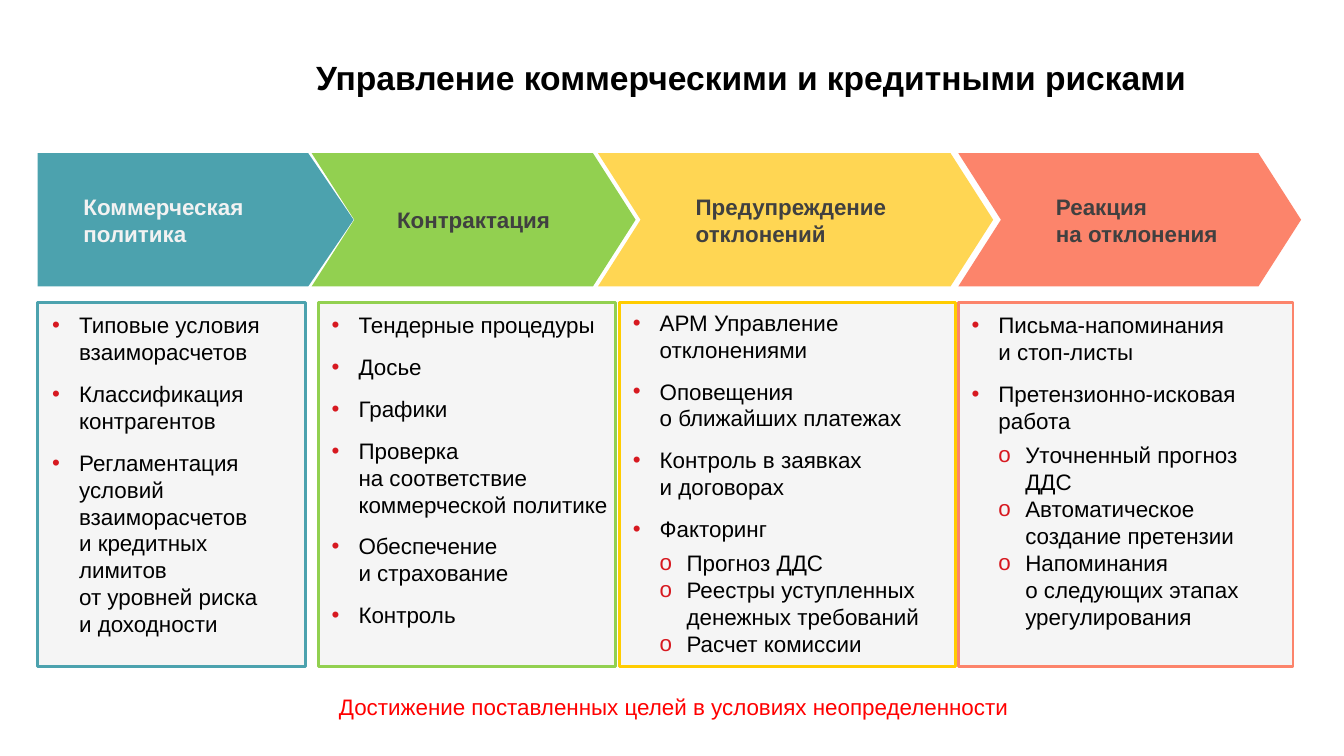
from dataclasses import dataclass

from lxml import etree
from pptx import Presentation
from pptx.dml.color import RGBColor
from pptx.enum.shapes import MSO_SHAPE
from pptx.enum.text import MSO_ANCHOR, MSO_AUTO_SIZE, PP_ALIGN
from pptx.oxml.ns import qn
from pptx.util import Pt

RECTANGLE, CHEVRON, PENTAGON = MSO_SHAPE.RECTANGLE, MSO_SHAPE.CHEVRON, MSO_SHAPE.PENTAGON
LEFT, CENTER = PP_ALIGN.LEFT, PP_ALIGN.CENTER
MIDDLE = MSO_ANCHOR.MIDDLE
GROW = MSO_AUTO_SIZE.SHAPE_TO_FIT_TEXT

BLACK = RGBColor(0x00, 0x00, 0x00)
DARK_GRAY = RGBColor(0x40, 0x40, 0x40)
LIGHT_GRAY = RGBColor(0xF2, 0xF2, 0xF2)
TEAL = RGBColor(0x4C, 0xA2, 0xAE)
GREEN = RGBColor(0x92, 0xD0, 0x50)
YELLOW = RGBColor(0xFF, 0xD6, 0x53)
GOLD = RGBColor(0xFF, 0xCC, 0x00)
CORAL = RGBColor(0xFC, 0x84, 0x6B)
RED = RGBColor(0xFF, 0x00, 0x00)
BULLET_RED = RGBColor(0xD7, 0x19, 0x20)

FONT = "Arial"
ARROW_TOP, ARROW_HEIGHT = 82.1, 71.3
PANEL_TOP, PANEL_HEIGHT = 162, 195.1
INDENT = 14.4
ITEM, SUBITEM = 1, 2
BULLETS = {ITEM: "•", SUBITEM: "o"}


@dataclass
class Stage:
    title: str
    arrow_shape: int
    arrow_span: tuple
    notch: float
    title_inset: float
    title_align: int
    title_color: RGBColor
    fill: RGBColor
    border: RGBColor
    panel_span: tuple
    list_box: tuple
    items: list


STAGES = [
    Stage("Коммерческая политика", PENTAGON, (20.2, 169.2), 0.34, 24.5, LEFT,
          LIGHT_GRAY, TEAL, TEAL, (20.2, 143.3), (20.9, 163.4, 142.6, 183.6), [
              (ITEM, "Типовые условия взаиморасчетов"),
              (ITEM, "Классификация контрагентов"),
              (ITEM, "Регламентация условий взаиморасчетов\vи кредитных лимитов"
                     "\vот уровней риска\vи доходности"),
          ]),
    Stage("Контрактация", CHEVRON, (167, 173.5), 0.32, 5, CENTER,
          DARK_GRAY, GREEN, GREEN, (170.6, 159.1), (170.6, 163.4, 164.2, 178.6), [
              (ITEM, "Тендерные процедуры"),
              (ITEM, "Досье"),
              (ITEM, "Графики"),
              (ITEM, "Проверка\vна соответствие коммерческой политике"),
              (ITEM, "Обеспечение\vи страхование"),
              (ITEM, "Контроль"),
          ]),
    Stage("Предупреждение отклонений", CHEVRON, (320.4, 211.7), 0.32, 29.5, LEFT,
          DARK_GRAY, YELLOW, GOLD, (331.9, 180), (331.9, 162, 178.6, 195.8), [
              (ITEM, "АРМ Управление отклонениями"),
              (ITEM, "Оповещения\vо ближайших платежах"),
              (ITEM, "Контроль в заявках\vи договорах"),
              (ITEM, "Факторинг"),
              (SUBITEM, "Прогноз ДДС"),
              (SUBITEM, "Реестры уступленных денежных требований"),
              (SUBITEM, "Расчет комиссии"),
          ]),
    Stage("Реакция\vна отклонения", CHEVRON, (513.4, 183.6), 0.32, 29.5, LEFT,
          DARK_GRAY, CORAL, CORAL, (513.4, 179.3), (513.4, 163.4, 180, 179.3), [
              (ITEM, "Письма-напоминания\vи стоп-листы"),
              (ITEM, "Претензионно-исковая работа"),
              (SUBITEM, "Уточненный прогноз ДДС"),
              (SUBITEM, "Автоматическое создание претензии"),
              (SUBITEM, "Напоминания\vо следующих этапах урегулирования"),
          ]),
]


def write_text(paragraph, text, size=12, color=BLACK, bold=False, align=LEFT):
    paragraph.text = text
    paragraph.alignment = align
    paragraph.font.name = FONT
    paragraph.font.size = Pt(size)
    paragraph.font.bold = bold
    paragraph.font.color.rgb = color


def set_insets(frame, left, top, right, bottom):
    frame.margin_left, frame.margin_top = Pt(left), Pt(top)
    frame.margin_right, frame.margin_bottom = Pt(right), Pt(bottom)


def add_bullet(paragraph, level):
    paragraph.level = level
    properties = paragraph._p.get_or_add_pPr()
    properties.set("marL", str(Pt(INDENT * level)))
    properties.set("indent", str(-Pt(INDENT)))
    color = etree.SubElement(properties, qn("a:buClr"))
    etree.SubElement(color, qn("a:srgbClr"), val=str(BULLET_RED))
    etree.SubElement(properties, qn("a:buFont"), typeface=FONT)
    etree.SubElement(properties, qn("a:buChar"), char=BULLETS[level])


def add_filled_shape(slide, kind, box, fill):
    shape = slide.shapes.add_shape(kind, *map(Pt, box))
    shape.shadow.inherit = False
    shape.fill.solid()
    shape.fill.fore_color.rgb = fill
    shape.line.fill.background()
    return shape


def add_text_box(slide, box):
    frame = slide.shapes.add_textbox(*map(Pt, box)).text_frame
    frame.word_wrap = True
    frame.auto_size = GROW
    return frame


def add_title(slide, box, text):
    title = slide.shapes.title
    title.left, title.top, title.width, title.height = map(Pt, box)
    title.text_frame.vertical_anchor = MIDDLE
    write_text(title.text_frame.paragraphs[0], text, size=18, bold=True, align=CENTER)


def add_arrow(slide, box, stage):
    arrow = add_filled_shape(slide, stage.arrow_shape, box, stage.fill)
    arrow.adjustments[0] = stage.notch
    frame = arrow.text_frame
    frame.word_wrap = True
    frame.vertical_anchor = MIDDLE
    set_insets(frame, stage.title_inset, 5, 5, 5)
    write_text(frame.paragraphs[0], stage.title, color=stage.title_color,
               bold=True, align=stage.title_align)


def add_panel(slide, box, border):
    panel = add_filled_shape(slide, RECTANGLE, box, LIGHT_GRAY)
    color = panel._element.spPr.find(qn("a:solidFill")).find(qn("a:srgbClr"))
    etree.SubElement(color, qn("a:alpha"), val="70000")
    panel.line.color.rgb = border
    panel.line.width = Pt(1.5)


def add_list(slide, box, items):
    frame = add_text_box(slide, box)
    for index, (level, text) in enumerate(items):
        paragraph = frame.add_paragraph() if index else frame.paragraphs[0]
        gap = 4 if level == ITEM else 0
        paragraph.space_before = Pt(gap if index else 0)
        paragraph.space_after = Pt(gap)
        add_bullet(paragraph, level)
        write_text(paragraph, text)


def add_stage(slide, stage):
    panel_left, panel_width = stage.panel_span
    arrow_left, arrow_width = stage.arrow_span
    add_panel(slide, (panel_left, PANEL_TOP, panel_width, PANEL_HEIGHT), stage.border)
    add_arrow(slide, (arrow_left, ARROW_TOP, arrow_width, ARROW_HEIGHT), stage)
    add_list(slide, stage.list_box, stage.items)


def add_conclusion(slide, box, text):
    frame = add_text_box(slide, box)
    set_insets(frame, 5.8, 2.9, 5.8, 2.9)
    write_text(frame.paragraphs[0], text, color=RED, align=CENTER)


def main():
    presentation = Presentation()
    presentation.slide_width, presentation.slide_height = Pt(720), Pt(405)
    slide = presentation.slides.add_slide(presentation.slide_layouts[5])
    add_title(slide, (112.3, 15.8, 580.3, 51.1),
              "Управление коммерческими и кредитными рисками")
    for stage in STAGES:
        add_stage(slide, stage)
    add_conclusion(slide, (27.4, 368.6, 667.4, 20.2),
                   "Достижение поставленных целей в условиях неопределенности")
    presentation.save("out.pptx")


if __name__ == "__main__":
    main()
